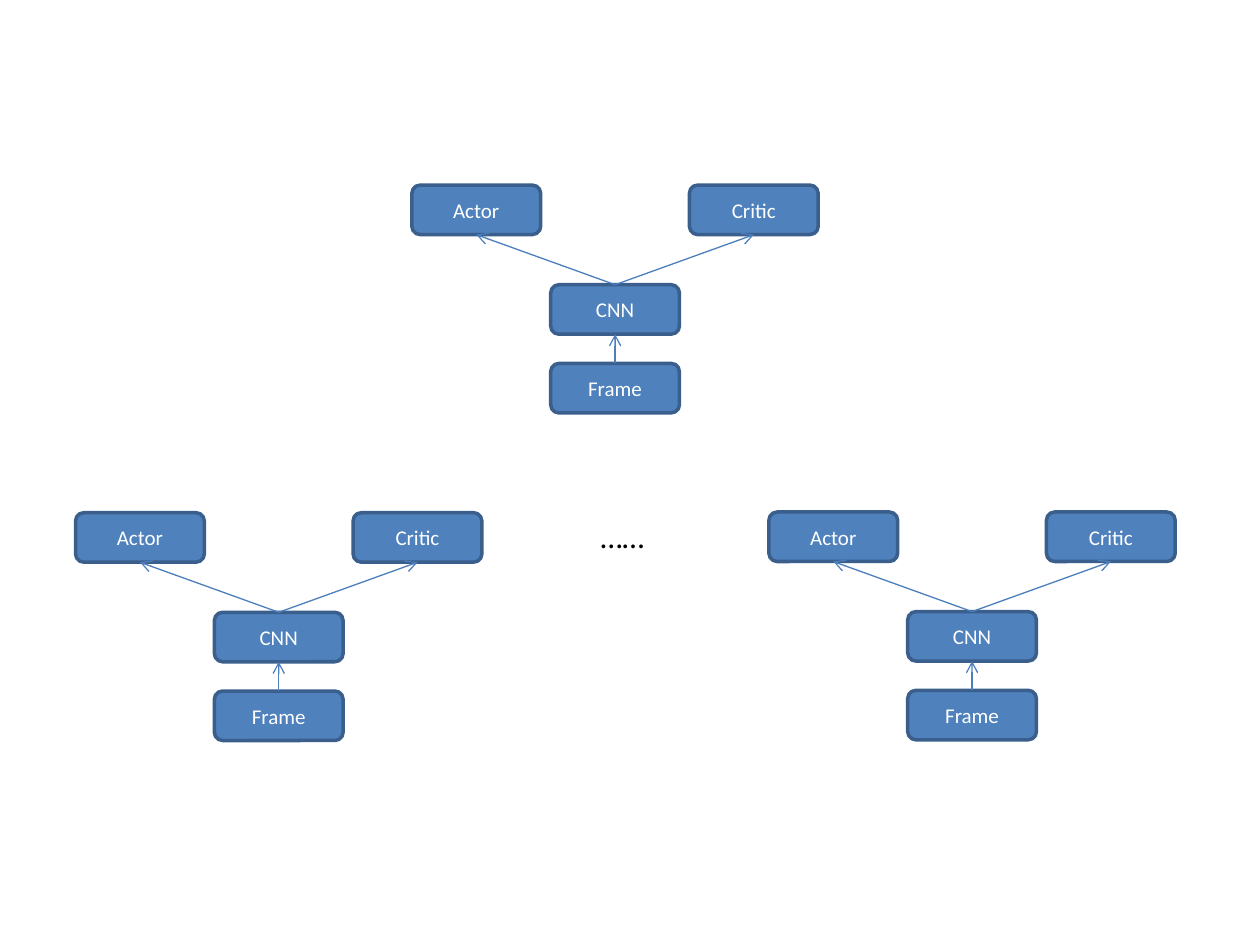
from lxml.etree import SubElement
from pptx import Presentation
from pptx.dml.color import RGBColor
from pptx.enum.shapes import MSO_CONNECTOR as Connector, MSO_SHAPE as Shape
from pptx.enum.text import MSO_ANCHOR as Anchor, MSO_AUTO_SIZE as AutoSize, PP_ALIGN as Align
from pptx.oxml.ns import qn
from pptx.util import Pt

BOX_WIDTH, BOX_HEIGHT = 73.6, 28.3
BRANCH = 79.3                   # sideways offset of Actor and Critic
CNN_DROP, FRAME_DROP = 56.9, 101.9
TOP_SITE, BOTTOM_SITE = 0, 2    # connection sites of a rounded box

# Centre and top of each network
NETWORKS = [(351.5, 105.8), (159.3, 293), (555.5, 292.6)]


def color(hex_code):
    return RGBColor.from_string(hex_code)


def write(box, text, size=12, hex_code="FFFFFF", align=Align.CENTER, anchor=Anchor.MIDDLE):
    frame = box.text_frame
    frame.vertical_anchor = anchor
    para = frame.paragraphs[0]
    para.alignment = align
    span = para.add_run()
    span.text = text
    span.font.name = "Calibri"
    span.font.size = Pt(size)
    span.font.color.rgb = color(hex_code)


def add_box(page, text, center, top):
    box = page.shapes.add_shape(Shape.ROUNDED_RECTANGLE, Pt(center - BOX_WIDTH / 2), Pt(top),
                                Pt(BOX_WIDTH), Pt(BOX_HEIGHT))
    box.shadow.inherit = False
    box.fill.solid()
    box.fill.fore_color.rgb = color("4F81BD")
    box.line.color.rgb = color("3A5F8C")
    box.line.width = Pt(2)
    write(box, text)
    return box


def add_arrow(page, lower, upper):
    arrow = page.shapes.add_connector(Connector.STRAIGHT, 0, 0, 0, 0)
    arrow.begin_connect(lower, TOP_SITE)
    arrow.end_connect(upper, BOTTOM_SITE)
    arrow.line.color.rgb = color("4B7EBC")
    arrow.line.width = Pt(0.75)
    SubElement(arrow.line._get_or_add_ln(), qn("a:tailEnd"), type="arrow")
    SubElement(arrow._element.spPr, qn("a:effectLst"))


def add_network(page, center, top):
    frame = add_box(page, "Frame", center, top + FRAME_DROP)
    cnn = add_box(page, "CNN", center, top + CNN_DROP)
    actor = add_box(page, "Actor", center - BRANCH, top)
    critic = add_box(page, "Critic", center + BRANCH, top)
    for lower, upper in [(frame, cnn), (cnn, actor), (cnn, critic)]:
        add_arrow(page, lower, upper)


def add_ellipsis(page):
    box = page.shapes.add_textbox(Pt(336.2), Pt(291.6), Pt(40.3), Pt(29))
    box.text_frame.word_wrap = False
    box.text_frame.auto_size = AutoSize.SHAPE_TO_FIT_TEXT
    write(box, "……", size=18, hex_code="000000", align=Align.LEFT, anchor=Anchor.TOP)


def main():
    deck = Presentation()
    deck.slide_width, deck.slide_height = Pt(720), Pt(540)
    page = deck.slides.add_slide(deck.slide_layouts[6])

    # One network above, the row of its copies below
    for center, top in NETWORKS:
        add_network(page, center, top)
    add_ellipsis(page)

    deck.save("out.pptx")


if __name__ == "__main__":
    main()
